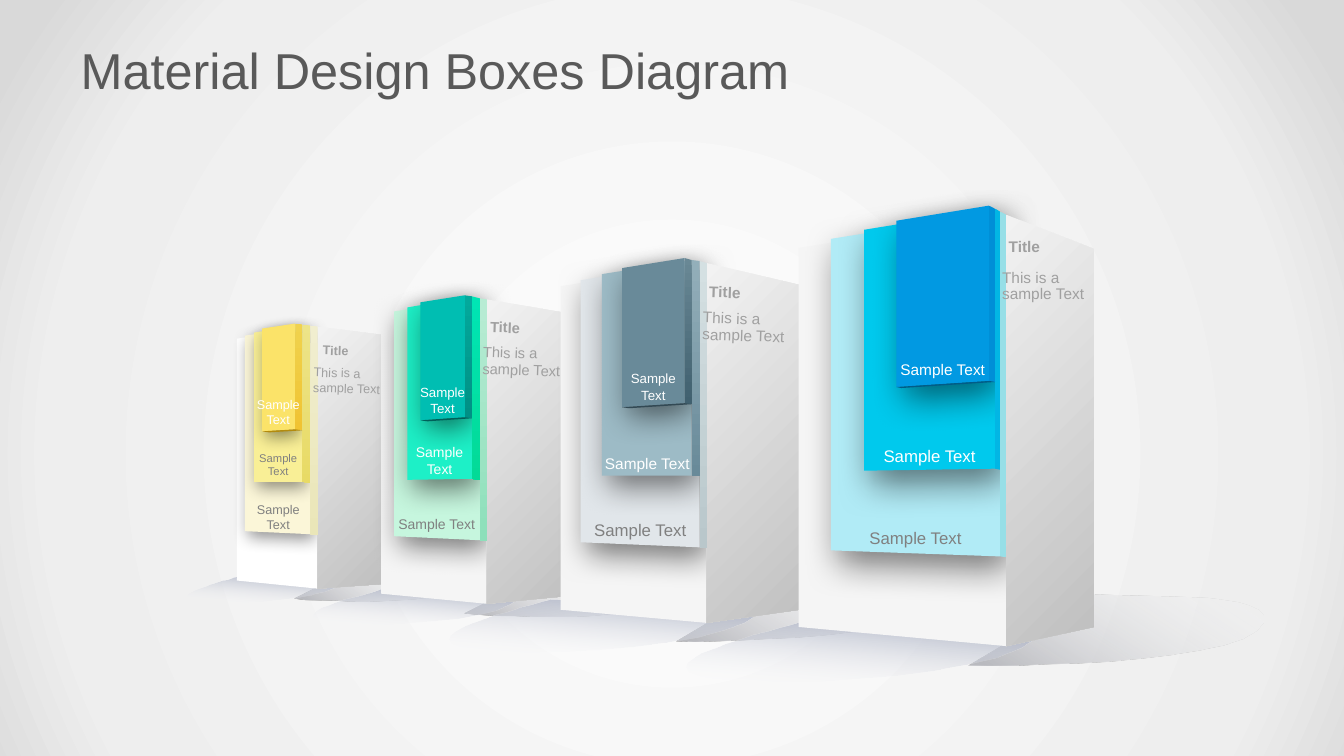
from dataclasses import dataclass

from lxml import etree
from pptx import Presentation
from pptx.dml.color import RGBColor
from pptx.enum.text import MSO_ANCHOR, MSO_AUTO_SIZE, PP_ALIGN
from pptx.oxml.ns import qn
from pptx.util import Emu, Pt

PX = 9144  # 100 px to the inch
MIDDLE, GROW = MSO_ANCHOR.MIDDLE, MSO_AUTO_SIZE.SHAPE_TO_FIT_TEXT
LEFT, CENTER = PP_ALIGN.LEFT, PP_ALIGN.CENTER
TITLE_ONLY = 5
HORIZON = 486  # the slanting edges level out at this height

COLORS = {
    "white": "FFFFFF", "black": "000000", "haze": "EEEEEE", "rim": "D9D9D9",
    "heading": "595959", "caption": "A0A0A0", "label": "808080",
    "wall": "F5F5F5", "side light": "F2F2F2", "side dark": "BFBFBF",
    "floor grey": "BABBC0", "floor blue": "A0A7BC",
    "cream": "FBF6D8", "cream light": "F1EECF", "cream dark": "EAE6B8",
    "lemon": "F9EF96", "lemon light": "EDE488", "lemon dark": "E8DA65",
    "yellow": "FBE369", "yellow light": "F0D24D", "yellow dark": "F0C332",
    "mint": "C6F6DE", "mint light": "B8ECD4", "mint dark": "8DDFBA",
    "green": "1DF0C7", "green light": "00E5B4", "green dark": "03DA97",
    "teal": "00BEB2", "teal light": "03A99C", "teal dark": "009085",
    "mist": "E1E6EA", "mist light": "D4E0E2", "mist dark": "B9C7CB",
    "steel": "9DBBC6", "steel light": "93AFBA", "steel dark": "698A99",
    "slate": "698A99", "slate light": "698895", "slate dark": "40606F",
    "ice": "B1EBF6", "ice light": "97DFE7", "ice dark": "97DFE7",
    "cyan": "00C9ED", "cyan light": "02B6E4", "cyan dark": "02B6E4",
    "blue": "0199E2", "blue light": "008FD7", "blue dark": "008FD7",
    "ochre": "B38B0D", "pine": "006059", "ink": "324954", "navy": "015C88",
}

# Floor shadow outlines in percent of their box: a start and two cubic curves
FRONT_SHADOW = [(33, 0), (24, 16), (-5, 50), (1, 77), (10, 110), (87, 91), (100, 25)]
SIDE_SHADOW = [(0, 77), (27, 91), (94, 115), (100, 68), (104, 30), (68, 17), (43, 2)]


@dataclass
class Tower:
    wall: tuple        # left, right, then top and bottom of the near edge
    side: tuple        # right, top and bottom of the far edge
    inset: float       # from one card to the next: left edge,
    step: float        # right edge,
    rise: float        # top
    drop: float        # and bottom
    card_bottom: int
    shadow: tuple      # alpha, blur, distance
    cards: tuple
    lip: str
    front_floor: tuple
    side_floor: tuple
    turn: int
    caption_drop: int
    caption_size: float
    label_sizes: tuple
    dark_labels: int = 1
    tilt: int = 2
    wall_color: str = "wall"

    def card_box(self, i):
        """Left, right, top and bottom of card i; the wall's top corner is i = -1."""
        left, right, top, _ = self.wall
        layer = i + 1
        return (left + self.inset * layer, right - self.step * layer,
                top - self.rise * layer, self.card_bottom - self.drop * i)

    def slanted(self, left, right, top, bottom):
        """Corners of a front panel, its left edge drawn in towards the horizon."""
        _, _, near_top, near_bottom = self.wall
        pull = 0.25 / (near_bottom - near_top) * (right - left)
        far_top, far_bottom = (y + (HORIZON - y) * pull for y in (top, bottom))
        return [(left, far_top), (right, top), (right, bottom), (left, far_bottom)]


TOWERS = [
    Tower((235, 315, 324, 584), (385, 333, 579), 8.3, 7.3, 1, 52, 530, (42, 12, 5),
          ("cream", "lemon", "yellow"), "ochre", (185, 572, 154, 28), (292, 561, 152, 38),
          357, 54, 9, (9, 8, 9), dark_labels=2, wall_color="white"),
    Tower((378, 483, 297, 599), (576, 313, 590), 13, 7.3, 1.3, 61, 536, (50, 20, 8),
          ("mint", "green", "teal"), "pine", (310, 585, 204, 38), (460, 567, 188, 47),
          357, 62, 10.5, (10, 10, 9.5)),
    Tower((556, 701, 261, 618), (807, 286, 603), 20.3, 7.3, 1.6, 71.5, 543, (50, 22, 9),
          ("mist", "steel", "slate"), "ink", (445, 595, 306, 56), (668, 571, 259, 64),
          353, 64, 11, (12, 11, 9.5)),
    Tower((792, 998, 213, 641), (1085, 247, 622), 32.3, 5.6, 3, 87, 552, (50, 25, 11),
          ("ice", "cyan", "blue"), "navy", (680, 617, 348, 64), (957, 586, 295, 73),
          353, 71, 11, (12, 12, 11), tilt=0),
]


def rgb(name):
    return RGBColor.from_string(COLORS[name])


def color_xml(parent, name, alpha=100):
    color = etree.SubElement(parent, qn("a:srgbClr"), val=COLORS[name])
    if alpha < 100:
        etree.SubElement(color, qn("a:alpha"), val=str(alpha * 1000))


def curve(start, pull_a, pull_b, end, steps=12):
    """Points along a cubic curve, without its start."""
    for t in (step / steps for step in range(1, steps + 1)):
        weights = ((1 - t) ** 3, 3 * t * (1 - t) ** 2, 3 * t * t * (1 - t), t ** 3)
        yield tuple(sum(w * p[axis] for w, p in zip(weights, (start, pull_a, pull_b, end)))
                    for axis in (0, 1))


class BoxesSlide:
    font = "Arial"

    def __init__(self, deck):
        self.slide = deck.slides.add_slide(deck.slide_layouts[TITLE_ONLY])
        self.target = self.slide.shapes

    def gradient(self, fill, element, stops, angle=None, center=None):
        """Stops are (position, colour, alpha); center is left, top, right, bottom."""
        fill.gradient()
        grad = element.find(".//" + qn("a:gradFill"))
        for child in list(grad):
            grad.remove(child)
        stop_list = etree.SubElement(grad, qn("a:gsLst"))
        for position, name, alpha in stops:
            stop = etree.SubElement(stop_list, qn("a:gs"), pos=str(position * 1000))
            color_xml(stop, name, alpha)
        if center:
            circle = etree.SubElement(grad, qn("a:path"), path="circle")
            etree.SubElement(circle, qn("a:fillToRect"),
                             {side: str(v * 1000) for side, v in zip("ltrb", center)})
        else:
            etree.SubElement(grad, qn("a:lin"), ang=str(angle * 60000), scaled="0")

    def background(self, stops, center):
        self.gradient(self.slide.background.fill, self.slide.element, stops, center=center)

    def outline(self, points, color=None, stops=None, angle=90):
        builder = self.target.build_freeform(*points[0], scale=PX)
        builder.add_line_segments(points[1:], close=True)
        shape = builder.convert_to_shape()
        shape.shadow.inherit = False
        shape.line.fill.background()
        if stops:
            self.gradient(shape.fill, shape.element, stops, angle)
        else:
            shape.fill.solid()
            shape.fill.fore_color.rgb = rgb(color)
        return shape

    def floor_shadow(self, knots, box, color, end, angle, turn=0):
        left, top, width, height = box
        knots = [(left + x * width / 100, top + y * height / 100) for x, y in knots]
        points = [knots[0], *curve(*knots[:4]), *curve(*knots[3:])]
        stops = [(0, "white", 0), (end, color, 100)]
        self.outline(points, stops=stops, angle=angle).rotation = turn

    def card(self, corners, color, shadow):
        alpha, blur, distance = shadow
        effects = self.outline(corners, color).element.spPr.find(qn("a:effectLst"))
        outer = etree.SubElement(effects, qn("a:outerShdw"), blurRad=str(Pt(blur)),
                                 dist=str(Pt(distance)), dir=str(60 * 60000),
                                 algn="ctr", rotWithShape="0")
        color_xml(outer, "black", alpha)

    def tower(self, tower):
        self.target = self.slide.shapes.add_group_shape().shapes
        _, right, top, bottom = tower.wall
        self.outline(tower.slanted(*tower.wall), tower.wall_color)
        for i, color in enumerate(tower.cards):
            self.card(tower.slanted(*tower.card_box(i)), color, tower.shadow)
        far, far_top, far_bottom = tower.side
        self.outline([(right, top), (far, far_top), (far, far_bottom), (right, bottom)],
                     stops=[(0, "side light", 100), (100, "side dark", 100)], angle=45)
        for i, color in enumerate(tower.cards):
            _, near, near_top, base = tower.card_box(i)
            _, back, back_top, _ = tower.card_box(i - 1)
            self.outline([(near, near_top), (back, back_top), (back, base + 1), (near, base)],
                         stops=[(0, color + " light", 100), (100, color + " dark", 100)])
        # Underside of the foremost card
        *_, corner, start = tower.slanted(*tower.card_box(2))
        self.outline([start, (start[0] + tower.step, start[1] + 1.5),
                      (corner[0] + tower.step, corner[1] + 1), corner], tower.lip)
        self.target = self.slide.shapes

    def style(self, paragraph, size, color, align, bold=False, spacing=None):
        paragraph.alignment = align
        paragraph.font.name = self.font
        paragraph.font.size = Pt(size)
        paragraph.font.bold = bold
        paragraph.font.color.rgb = rgb(color)
        if spacing:
            paragraph.line_spacing = Pt(spacing)

    def title(self, text, box, size):
        title = self.slide.shapes.title
        title.left, title.top, title.width, title.height = (Emu(v * PX) for v in box)
        frame = title.text_frame
        frame.text = text
        frame.vertical_anchor = MIDDLE
        frame.margin_left = frame.margin_right = Emu(13 * PX)
        frame.margin_top = frame.margin_bottom = Emu(7 * PX)
        self.style(frame.paragraphs[0], size, "heading", LEFT)

    def text(self, text, middle, extent, size, color, align=CENTER, tilt=0, wrap=True, **look):
        (x, y), (width, height) = middle, extent
        box = (x - width / 2, y - height / 2, width, height)
        holder = self.slide.shapes.add_textbox(*(Emu(round(v) * PX) for v in box))
        holder.rotation = tilt
        frame = holder.text_frame
        frame.text = text
        frame.word_wrap = wrap
        frame.auto_size = GROW
        frame.vertical_anchor = MIDDLE
        self.style(frame.paragraphs[0], size, color, align, **look)

    def wording(self, tower, order):
        _, right, top, _ = tower.wall
        size, drop, tilt = tower.caption_size, tower.caption_drop, tower.tilt
        self.text("Title", (right + 18, top + drop * 0.44), (52, 29), size, "caption",
                  tilt=tilt, wrap=False, bold=True)
        self.text("This is a sample Text", (right + 40, top + drop), (108, 44), size, "caption",
                  LEFT, tilt, spacing=12 if order else None)
        for i, label_size in enumerate(tower.label_sizes):
            left, edge, _, base = tower.card_box(i)
            two_lines = i >= order
            lift = 17.5 if two_lines else (16, 11, 10)[i]
            self.text("Sample Text", ((left + edge) / 2, base - lift),
                      (76, 42) if two_lines else (112, 27), label_size,
                      "label" if i < tower.dark_labels else "white",
                      spacing=None if two_lines and order < 2 else 12)


def main():
    deck = Presentation()
    deck.slide_width, deck.slide_height = Emu(1333 * PX), Emu(750 * PX)
    boxes = BoxesSlide(deck)

    # Backdrop and title
    boxes.background([(0, "white", 100), (81, "haze", 100), (100, "rim", 100)],
                     center=(50, 60, 50, 40))
    boxes.title("Material Design Boxes Diagram", (67, 30, 1200, 78), 36)

    # Floor shadows, towers, then their wording
    for tower in TOWERS:
        boxes.floor_shadow(SIDE_SHADOW, tower.side_floor, "floor grey", 90, 130, tower.turn)
        boxes.floor_shadow(FRONT_SHADOW, tower.front_floor, "floor blue", 100, 275)
    for tower in TOWERS:
        boxes.tower(tower)
    for order, tower in enumerate(TOWERS):
        boxes.wording(tower, order)

    deck.save("out.pptx")


if __name__ == "__main__":
    main()
